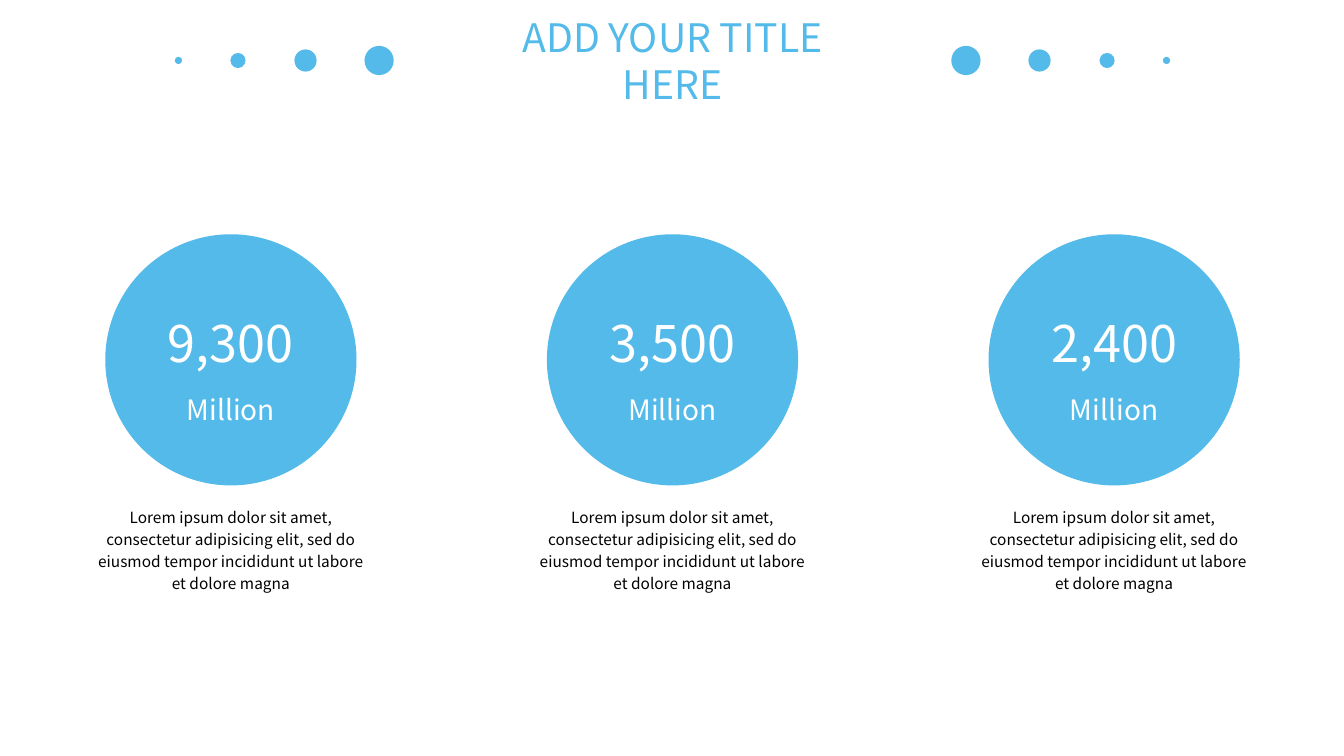
from pptx import Presentation
from pptx.dml.color import RGBColor
from pptx.enum.shapes import MSO_SHAPE
from pptx.enum.text import MSO_ANCHOR, PP_ALIGN
from pptx.util import Inches, Pt

FONT = "Noto Sans CJK SC"
BLUE = "53BAE9"
WHITE = "FFFFFF"
BLACK = "000000"
CENTER_X = 6.67
COLUMN_PITCH = 4.38
TITLE_Y = 0.6
DOTS = [(2.91, 0.29), (3.64, 0.22), (4.31, 0.15), (4.9, 0.07)]
FIGURES = ["9,300", "3,500", "2,400"]
BODY = ("Lorem ipsum dolor sit amet, consectetur adipisicing elit, "
        "sed do eiusmod tempor incididunt ut labore et dolore magna")


def color(value):
    return RGBColor.from_string(value)


def add_circle(slide, center_x, center_y, diameter, line_width=0):
    circle = slide.shapes.add_shape(
        MSO_SHAPE.OVAL,
        Inches(center_x - diameter / 2), Inches(center_y - diameter / 2),
        Inches(diameter), Inches(diameter))
    circle.shadow.inherit = False
    circle.fill.solid()
    circle.fill.fore_color.rgb = color(BLUE)
    if line_width:
        circle.line.color.rgb = color(BLUE)
        circle.line.width = Pt(line_width)
    else:
        circle.line.fill.background()


def add_text(slide, text, center_x, top, width, height, size, ink,
             anchor=MSO_ANCHOR.MIDDLE, spacing=None):
    box = slide.shapes.add_textbox(
        Inches(center_x - width / 2), Inches(top), Inches(width), Inches(height))
    frame = box.text_frame
    frame.word_wrap = True
    frame.vertical_anchor = anchor
    frame.text = text
    para = frame.paragraphs[0]
    para.alignment = PP_ALIGN.CENTER
    para.line_spacing = spacing
    font = para.runs[0].font
    font.name = FONT
    font.size = Pt(size)
    font.color.rgb = color(ink)


def add_title(slide):
    for side in (-1, 1):
        for offset, diameter in DOTS:
            add_circle(slide, CENTER_X + side * offset, TITLE_Y, diameter)
    add_text(slide, "ADD YOUR TITLE HERE", CENTER_X, 0.31, 4.18, 0.57, 28, BLUE)


def add_figure(slide, center_x, figure):
    add_circle(slide, center_x, 3.57, 2.45, line_width=3)
    add_text(slide, figure, center_x, 3.04, 2.11, 0.71, 36, WHITE)
    add_text(slide, "Million", center_x, 3.84, 1.23, 0.44, 20, WHITE)
    add_text(slide, BODY, center_x, 4.95, 2.93, 0.99, 11, BLACK,
             anchor=MSO_ANCHOR.TOP, spacing=1.2)


def main():
    deck = Presentation()
    deck.slide_width = Inches(13.33)
    deck.slide_height = Inches(7.5)
    slide = deck.slides.add_slide(deck.slide_layouts[6])
    add_title(slide)
    for column, figure in enumerate(FIGURES):
        add_figure(slide, CENTER_X + (column - 1) * COLUMN_PITCH, figure)
    deck.save("out.pptx")


if __name__ == "__main__":
    main()
